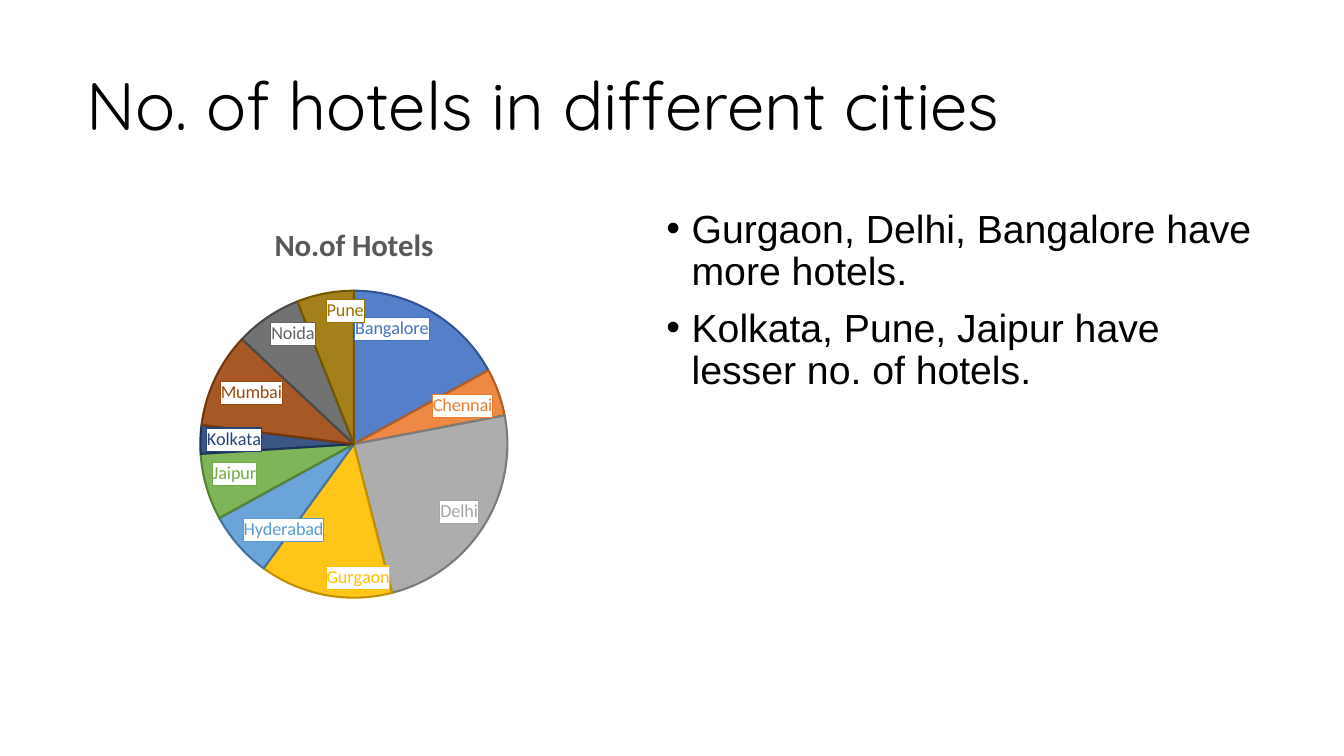
"""Build the slide on the number of hotels in different cities."""
import lxml.etree
import pptx
import pptx.chart.data
import pptx.dml.color
import pptx.enum.chart
import pptx.enum.text
import pptx.oxml
import pptx.oxml.ns
import pptx.util

Inches, Pt = pptx.util.Inches, pptx.util.Pt
qn = pptx.oxml.ns.qn

TITLE = "No. of hotels in different cities"
BULLETS = [
    "Gurgaon, Delhi, Bangalore have more hotels.",
    "Kolkata, Pune, Jaipur have lesser no. of hotels.",
]
CHART_TITLE = "No.of Hotels"
HOTELS = [
    ("Bangalore", 17), ("Chennai", 5), ("Delhi", 24), ("Gurgaon", 14),
    ("Hyderabad", 7), ("Jaipur", 7), ("Kolkata", 3), ("Mumbai", 10),
    ("Noida", 7), ("Pune", 6),
]
COLOURS = {
    "text": "000000", "chart title": "595959", "label": "FFFFFF",
    "Bangalore": "4472C4", "Chennai": "ED7D31", "Delhi": "A5A5A5",
    "Gurgaon": "FFC000", "Hyderabad": "5B9BD5", "Jaipur": "70AD47",
    "Kolkata": "264478", "Mumbai": "9E480E", "Noida": "636363",
    "Pune": "997300",
}
BOXES = {
    "title": (0.76, 0.35, 11.5, 1.45),
    "chart": (0.69, 2.03, 5.64, 4.03),
    "body": (6.51, 2.03, 6.02, 4.75),
}
PIE_LAYOUT = {"x": 0.23, "y": 0.21, "w": 0.54, "h": 0.76}
FONTS = {
    "title": {"name": "Quicksand", "size": Pt(48), "bold": False},
    "body": {"name": "Arial", "size": Pt(28)},
    "chart title": {"name": "Calibri", "size": Pt(22), "bold": True},
    "label": {"name": "Calibri", "size": Pt(13)},
}


def rgb(colour):
    return pptx.dml.color.RGBColor.from_string(colour)


def darker(colour):
    return "".join(f"{int(colour[i:i + 2], 16) * 3 // 4:02X}" for i in (0, 2, 4))


def set_font(font, style, colour):
    for name, value in FONTS[style].items():
        setattr(font, name, value)
    font.color.rgb = rgb(colour)


def place(shape, box):
    for name, value in zip(("left", "top", "width", "height"), box):
        setattr(shape, name, Inches(value))


def add_title(slide):
    title = slide.shapes.title
    place(title, BOXES["title"])
    title.text_frame.vertical_anchor = pptx.enum.text.MSO_ANCHOR.MIDDLE
    para = title.text_frame.paragraphs[0]
    para.text = TITLE
    para.alignment = pptx.enum.text.PP_ALIGN.LEFT
    para.line_spacing = 0.9
    set_font(para.runs[0].font, "title", COLOURS["text"])


def add_bullets(slide):
    body = slide.placeholders[1]
    place(body, BOXES["body"])
    frame = body.text_frame
    for number, text in enumerate(BULLETS):
        para = frame.add_paragraph() if number else frame.paragraphs[0]
        para.text = text
        para.line_spacing = 0.9
        para.space_before = Pt(10 if number else 0)
        properties = para._p.get_or_add_pPr()
        properties.set("marL", str(Inches(0.25)))
        properties.set("indent", str(Inches(-0.25)))
        lxml.etree.SubElement(properties, qn("a:buFont")).set("typeface", "Arial")
        lxml.etree.SubElement(properties, qn("a:buChar")).set("char", "•")
        set_font(para.runs[0].font, "body", COLOURS["text"])


def style_slice(point, colour):
    fill = point.format.fill
    fill.solid()
    fill.fore_color.rgb = rgb(colour)
    slice_colour = point.format.element if hasattr(point.format, "element") else point.format._element
    for node in slice_colour.findall(".//" + qn("c:spPr") + "/" + qn("a:solidFill") + "/" + qn("a:srgbClr")):
        lxml.etree.SubElement(node, qn("a:alpha")).set("val", "90000")
    point.format.line.color.rgb = rgb(darker(colour))
    point.format.line.width = Pt(1.5)


def style_label(label, colour):
    set_font(label.font, "label", colour)
    label.position = pptx.enum.chart.XL_LABEL_POSITION.INSIDE_END
    element = label._get_or_add_dLbl()
    element.find(qn("c:showVal")).set("val", "0")
    element.find(qn("c:showCatName")).set("val", "1")
    box_format = pptx.oxml.parse_xml(
        f'<c:spPr {pptx.oxml.ns.nsdecls("c", "a")}>'
        f'<a:solidFill><a:srgbClr val="{COLOURS["label"]}"/></a:solidFill>'
        f'<a:ln w="{Pt(0.75)}"><a:solidFill><a:srgbClr val="{colour}"/></a:solidFill></a:ln>'
        "</c:spPr>")
    for old in element.findall(qn("c:spPr")):
        element.remove(old)
    element.find(qn("c:txPr")).addprevious(box_format)


def set_pie_layout(chart):
    plot_area = chart._chartSpace.chart.plotArea
    for old in plot_area.findall(qn("c:layout")):
        plot_area.remove(old)
    layout = lxml.etree.Element(qn("c:layout"))
    manual = lxml.etree.SubElement(layout, qn("c:manualLayout"))
    settings = {"layoutTarget": "inner", "xMode": "edge", "yMode": "edge", **PIE_LAYOUT}
    for name, value in settings.items():
        lxml.etree.SubElement(manual, qn("c:" + name)).set("val", str(value))
    plot_area.insert(0, layout)


def add_pie(slide):
    data = pptx.chart.data.CategoryChartData()
    data.categories = [city for city, count in HOTELS]
    data.add_series(CHART_TITLE, [count for city, count in HOTELS])
    chart = slide.shapes.add_chart(
        pptx.enum.chart.XL_CHART_TYPE.PIE, *map(Inches, BOXES["chart"]), data).chart
    set_font(chart.font, "label", COLOURS["text"])
    chart.has_legend = False
    chart.has_title = True
    para = chart.chart_title.text_frame.paragraphs[0]
    para.text = CHART_TITLE
    set_font(para.runs[0].font, "chart title", COLOURS["chart title"])
    chart.plots[0].vary_by_categories = True
    series = chart.plots[0].series[0]
    labels = series.data_labels
    labels.show_value = False
    labels.show_category_name = True
    for number, (city, count) in enumerate(HOTELS):
        point = series.points[number]
        style_slice(point, COLOURS[city])
        style_label(point.data_label, COLOURS[city])
    set_pie_layout(chart)


def main():
    deck = pptx.Presentation()
    deck.slide_width, deck.slide_height = Inches(13.33), Inches(7.5)
    slide = deck.slides.add_slide(deck.slide_layouts[1])
    add_title(slide)
    add_pie(slide)
    add_bullets(slide)
    deck.save("out.pptx")


if __name__ == "__main__":
    main()
